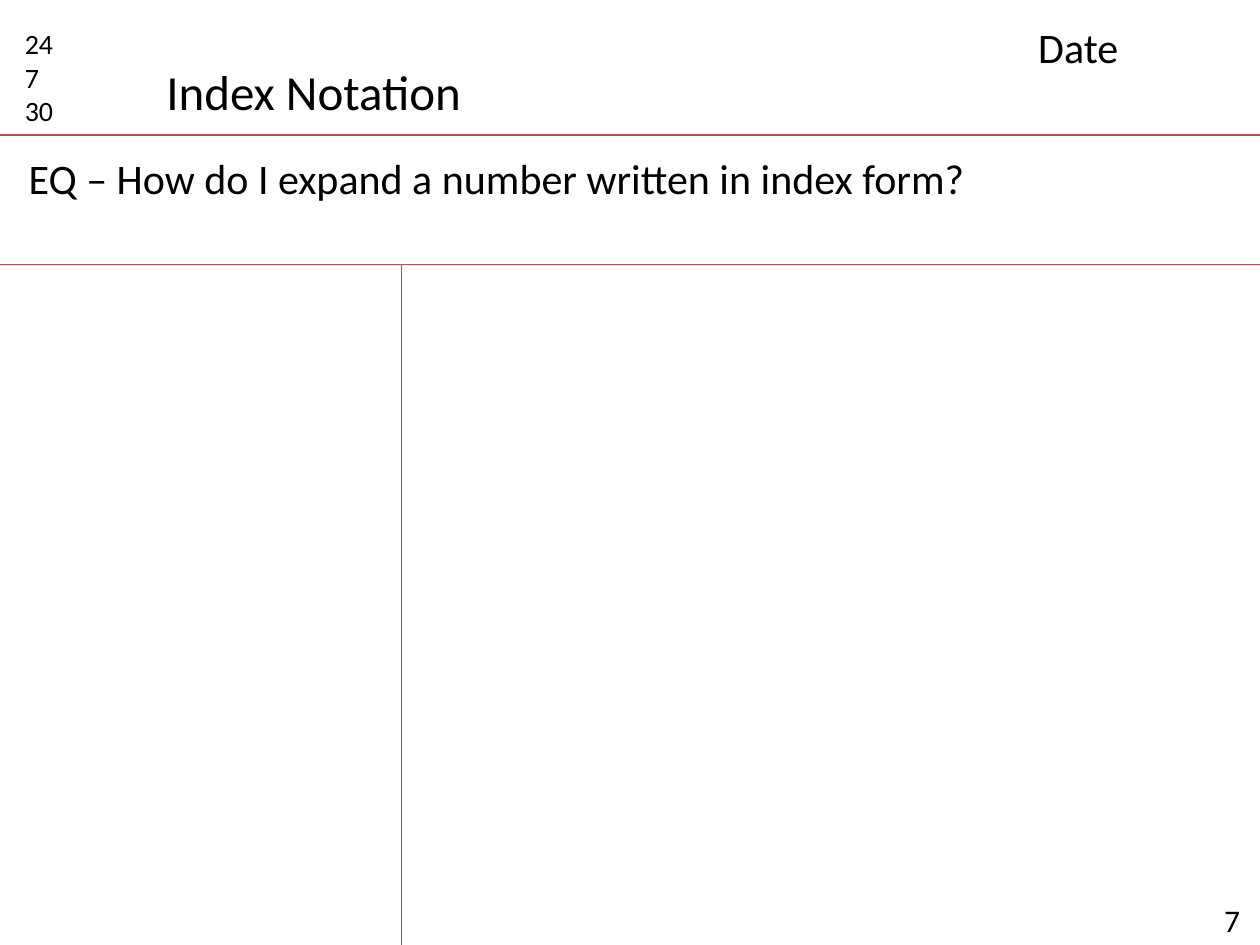
from lxml.etree import SubElement
from pptx import Presentation
from pptx.dml.color import RGBColor
from pptx.enum.shapes import MSO_CONNECTOR as Connector
from pptx.enum.text import MSO_ANCHOR as Anchor, MSO_AUTO_SIZE as AutoSize, PP_ALIGN as Align
from pptx.oxml.ns import qn
from pptx.util import Cm, Pt

# Content: lines of text, (left, top, width, height) in cm, size name
TITLE = (["Index Notation"], (3.1, 1.12, 6.53, 1.45), "title")
NOTES = [
    (["24", "7", "30"], (0.25, 0.41, 1.6, 2.31), "small"),
    (["Date"], (20.68, 0.3, 4.39, 1.27), "body"),
    (["EQ – How do I expand a number written in index form?"],
     (0.33, 2.95, 23.95, 1.27), "body"),
    (["7"], (24.43, 18.03, 0.97, 1.02), "number"),
]

# Page geometry in cm
WIDTH, HEIGHT = 25.4, 19.05
HEADER_Y, QUESTION_Y, MARGIN_X = 2.72, 5.33, 8.1
RULES = [
    (0, HEADER_Y, WIDTH, HEADER_Y),
    (0, QUESTION_Y, WIDTH, QUESTION_Y),
    (MARGIN_X, QUESTION_Y, MARGIN_X, HEIGHT),
]

THEME = {
    "font": "Calibri",
    "text": RGBColor.from_string("000000"),
    "rule": RGBColor.from_string("BF4C48"),
    "rule_width": Pt(0.75),
    "sizes": {"title": Pt(28), "body": Pt(24), "number": Pt(18), "small": Pt(16)},
}


def write(box, lines, *, place, size, wrap=True):
    """Place a box and fill it with one paragraph per line."""
    box.left, box.top, box.width, box.height = map(Cm, place)
    frame = box.text_frame
    frame.word_wrap = wrap
    frame.auto_size = AutoSize.NONE
    frame.vertical_anchor = Anchor.TOP
    frame.text = "\n".join(lines)
    for para in frame.paragraphs:
        para.alignment = Align.LEFT
        for span in para.runs:
            span.font.name = THEME["font"]
            span.font.size = THEME["sizes"][size]
            span.font.color.rgb = THEME["text"]


def draw_rule(page, ends):
    rule = page.shapes.add_connector(Connector.STRAIGHT, *map(Cm, ends))
    rule.line.color.rgb = THEME["rule"]
    rule.line.width = THEME["rule_width"]
    SubElement(rule._element.spPr, qn("a:effectLst"))


def main():
    deck = Presentation()
    deck.slide_width, deck.slide_height = Cm(WIDTH), Cm(HEIGHT)
    page = deck.slides.add_slide(deck.slide_layouts[5])

    # Ruled note-taking layout
    for ends in RULES:
        draw_rule(page, ends)

    # Title and the remaining notes
    lines, place, size = TITLE
    write(page.shapes.title, lines, place=place, size=size, wrap=False)
    for lines, place, size in NOTES:
        box = page.shapes.add_textbox(*map(Cm, place))
        write(box, lines, place=place, size=size)

    deck.save("out.pptx")


if __name__ == "__main__":
    main()
